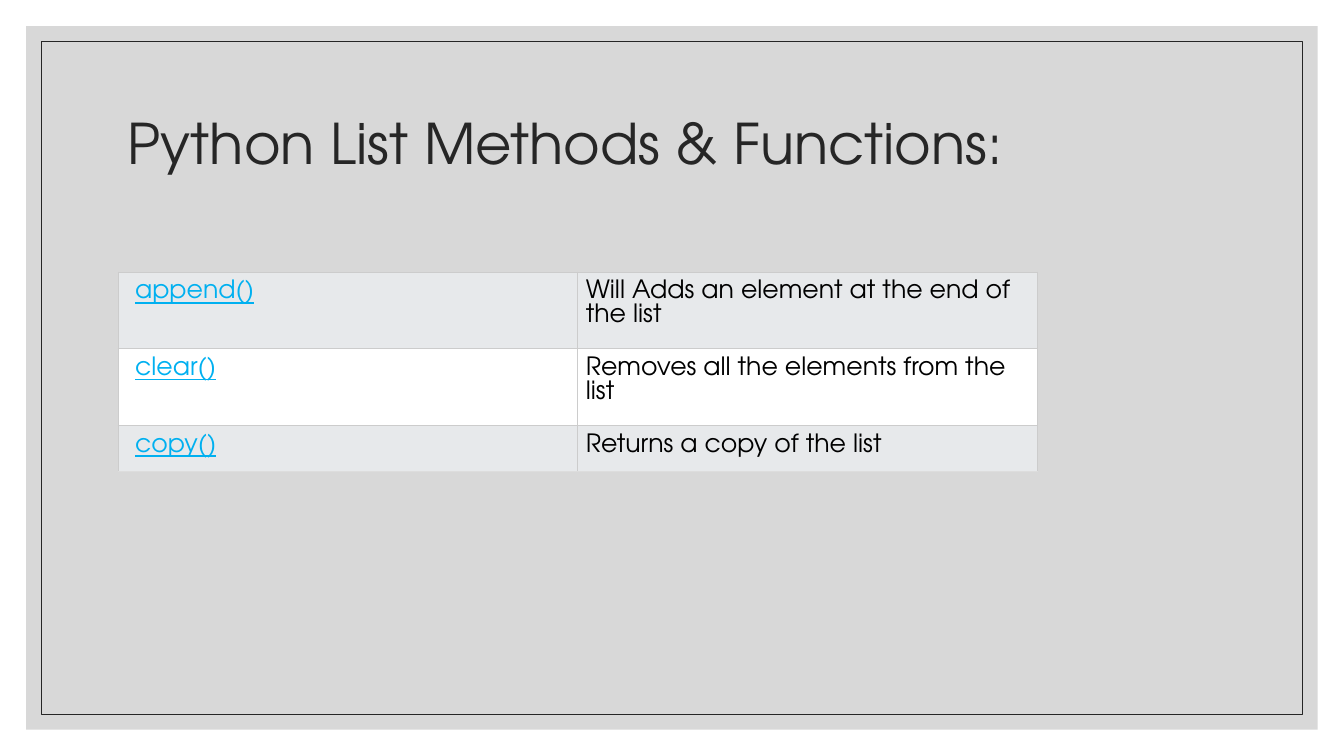
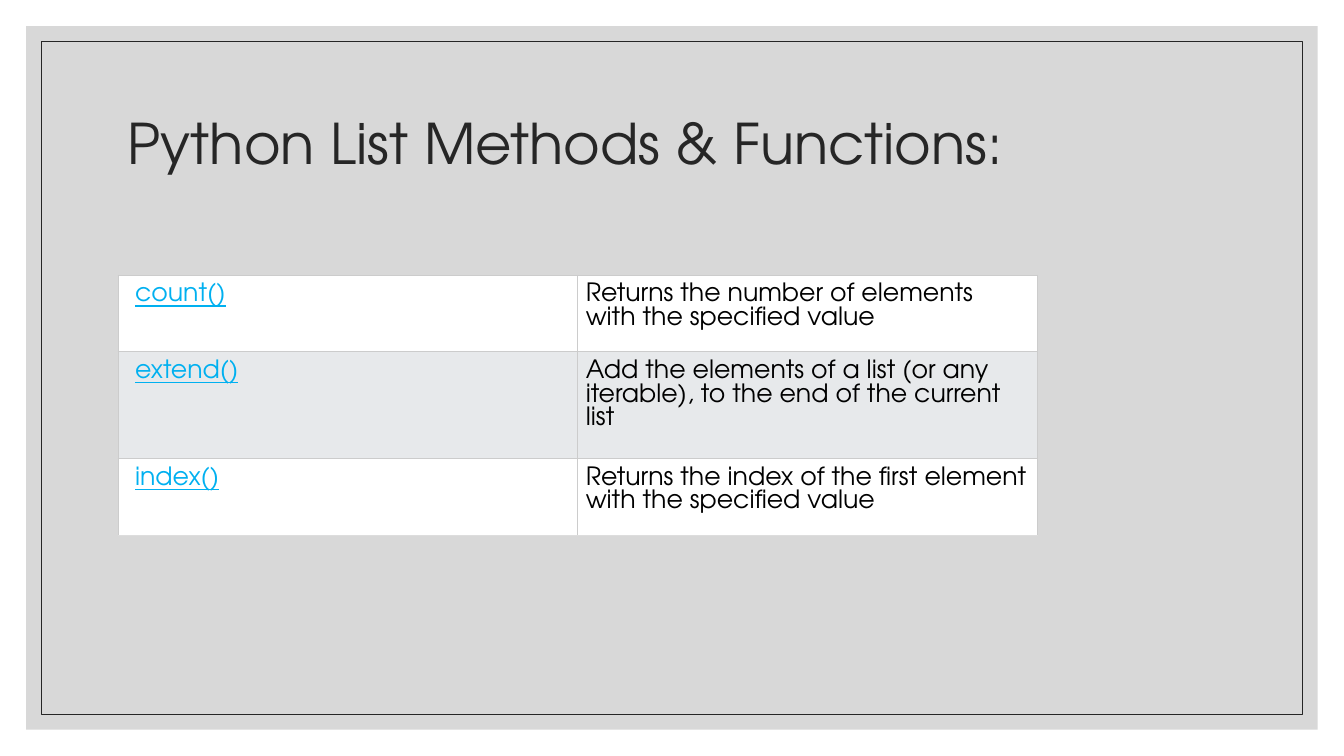
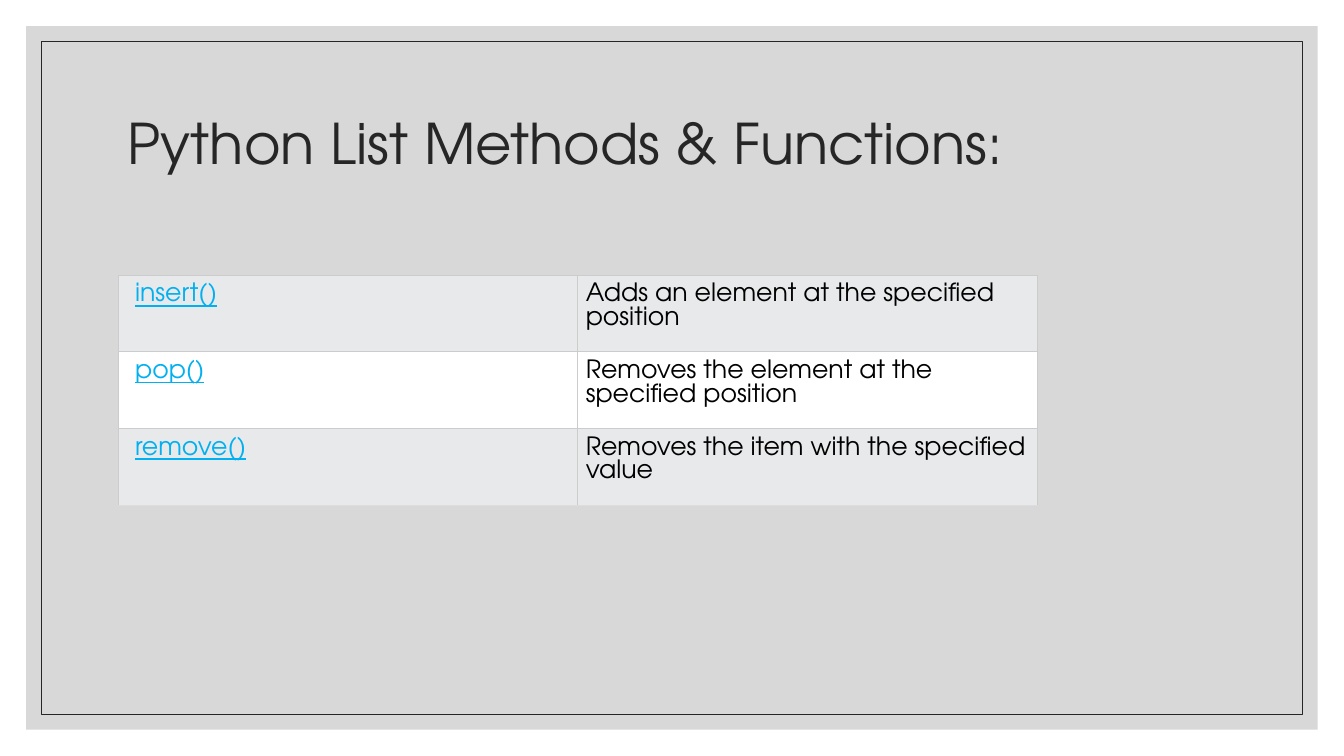
"""Three slides of Python list methods, each with a framed page and a table."""
import itertools
from dataclasses import dataclass
from typing import Any

import lxml.etree
import pptx
import pptx.dml.color
import pptx.enum.shapes
import pptx.enum.text
import pptx.oxml.ns
import pptx.util

WIDTH, HEIGHT = 13.33, 7.5
LEFT = 1.17  # shared left edge of title and table
COL_WIDTH = 4.56
LINE_HEIGHT = 0.24
CELL_PAD, NAME_INDENT = 0.08, 0.17
FONT = "TeX Gyre Adventor"
TITLE = "Python List Methods & Functions:"

INK, PANEL, BLACK, LINK = "262626", "BFBFBF", "000000", "00B0F0"
BANDS = ("E7E9EB", "FFFFFF")
GRID, GRID_END = "CCCCCC", "DDDDDD"
GRID_WIDTH = 0.75

TITLE_FONT = {"name": FONT, "size": pptx.util.Pt(40)}
CELL_FONT = {"name": FONT, "size": pptx.util.Pt(18), "bold": False}


@dataclass(frozen=True)
class Method:
    """A list method, what it does, and the lines that text takes."""
    name: str
    text: str
    lines: int = 2


@dataclass(frozen=True)
class Page:
    """The table's top edge and its methods."""
    top: float
    methods: tuple[Method, ...]


PAGES = (
    Page(2.7, (
        Method("append()", "Will Adds an element at the end of the list"),
        Method("clear()", "Removes all the elements from the list"),
        Method("copy()", "Returns a copy of the list", 1),
    )),
    Page(2.73, (
        Method("count()", "Returns the number of elements with the specified value"),
        Method("extend()", "Add the elements of a list (or any iterable), "
                           "to the end of the current list", 3),
        Method("index()", "Returns the index of the first element with the specified value"),
    )),
    Page(2.73, (
        Method("insert()", "Adds an element at the specified position"),
        Method("pop()", "Removes the element at the specified position"),
        Method("remove()", "Removes the item with the specified value"),
    )),
)


def rgb(value: str) -> pptx.dml.color.RGBColor:
    """Turn a hex string into a colour."""
    return pptx.dml.color.RGBColor.from_string(value)


def inches(*values: float) -> list[int]:
    """Turn inches into slide units."""
    return [pptx.util.Inches(v) for v in values]


def apply(target: Any, values: dict[str, Any]) -> None:
    """Set each named attribute on the target."""
    for name, value in values.items():
        setattr(target, name, value)


def write(tf: Any, text: str, font: dict[str, Any], color: str) -> Any:
    """Write one run in the first paragraph and return the paragraph."""
    p = tf.paragraphs[0]
    r = p.add_run()
    r.text = text
    apply(r.font, font)
    r.font.color.rgb = rgb(color)
    return p


def add_frame(slide: Any, margin: float) -> Any:
    """Add a plain rectangle set in from the slide edges."""
    sp = slide.shapes.add_shape(
        pptx.enum.shapes.MSO_SHAPE.RECTANGLE,
        *inches(margin, margin, WIDTH - 2 * margin, HEIGHT - 2 * margin))
    sp.shadow.inherit = False
    sp.fill.background()
    sp.line.fill.background()
    return sp


def add_backdrop(slide: Any) -> None:
    """Draw the translucent panel and the thin line inside it."""
    panel = add_frame(slide, 0.26)
    panel.fill.solid()
    panel.fill.fore_color.rgb = rgb(PANEL)
    color = panel.fill._xPr.find(".//" + pptx.oxml.ns.qn("a:srgbClr"))
    lxml.etree.SubElement(color, pptx.oxml.ns.qn("a:alpha"), val="60000")
    outline = add_frame(slide, 0.41)
    outline.line.color.rgb = rgb(INK)
    outline.line.width = pptx.util.Pt(0.5)


def add_title(slide: Any) -> None:
    """Add the shared title."""
    tf = slide.shapes.add_textbox(*inches(LEFT, 0.7, 11, 1.5)).text_frame
    apply(tf, {"word_wrap": True,
               "vertical_anchor": pptx.enum.text.MSO_ANCHOR.MIDDLE})
    write(tf, TITLE, TITLE_FONT, INK).line_spacing = 0.9


def set_borders(cell: Any, bottom: str) -> None:
    """Give a cell thin borders, with its own bottom colour."""
    qn = pptx.oxml.ns.qn
    tc_pr = cell._tc.get_or_add_tcPr()
    colors = {"L": GRID, "R": GRID, "T": GRID, "B": bottom}
    for i, (side, color) in enumerate(colors.items()):
        ln = lxml.etree.Element(qn(f"a:ln{side}"), w=str(pptx.util.Pt(GRID_WIDTH)))
        fill = lxml.etree.SubElement(ln, qn("a:solidFill"))
        lxml.etree.SubElement(fill, qn("a:srgbClr"), val=color)
        tc_pr.insert(i, ln)


def fill_cell(cell: Any, text: str, is_name: bool, band: str, bottom: str) -> None:
    """Write and format one table cell."""
    pad, indent = inches(CELL_PAD, NAME_INDENT)
    apply(cell, {"margin_left": indent if is_name else pad, "margin_top": pad,
                 "margin_right": pad, "margin_bottom": pad})
    cell.fill.solid()
    cell.fill.fore_color.rgb = rgb(band)
    set_borders(cell, bottom)
    write(cell.text_frame, text, CELL_FONT | {"underline": is_name},
          LINK if is_name else BLACK)


def add_methods(slide: Any, page: Page, bands: Any) -> None:
    """Add the table of methods, taking row colours from the running bands."""
    heights = [2 * CELL_PAD + LINE_HEIGHT * m.lines for m in page.methods]
    table = slide.shapes.add_table(
        len(heights), 2,
        *inches(LEFT, page.top, 2 * COL_WIDTH, sum(heights))).table
    apply(table, {"first_row": False, "horz_banding": False})
    for i, (method, height) in enumerate(zip(page.methods, heights)):
        table.rows[i].height = pptx.util.Inches(height)
        band = next(bands)
        bottom = GRID_END if method is page.methods[-1] else GRID
        for j, text in enumerate((method.name, method.text)):
            fill_cell(table.cell(i, j), text, j == 0, band, bottom)


def main() -> None:
    """Build and save the slides."""
    prs = pptx.Presentation()
    prs.slide_width, prs.slide_height = inches(WIDTH, HEIGHT)
    bands = itertools.cycle(BANDS)
    for page in PAGES:
        slide = prs.slides.add_slide(prs.slide_layouts[6])
        add_backdrop(slide)
        add_title(slide)
        add_methods(slide, page, bands)
    prs.save("out.pptx")


main()
